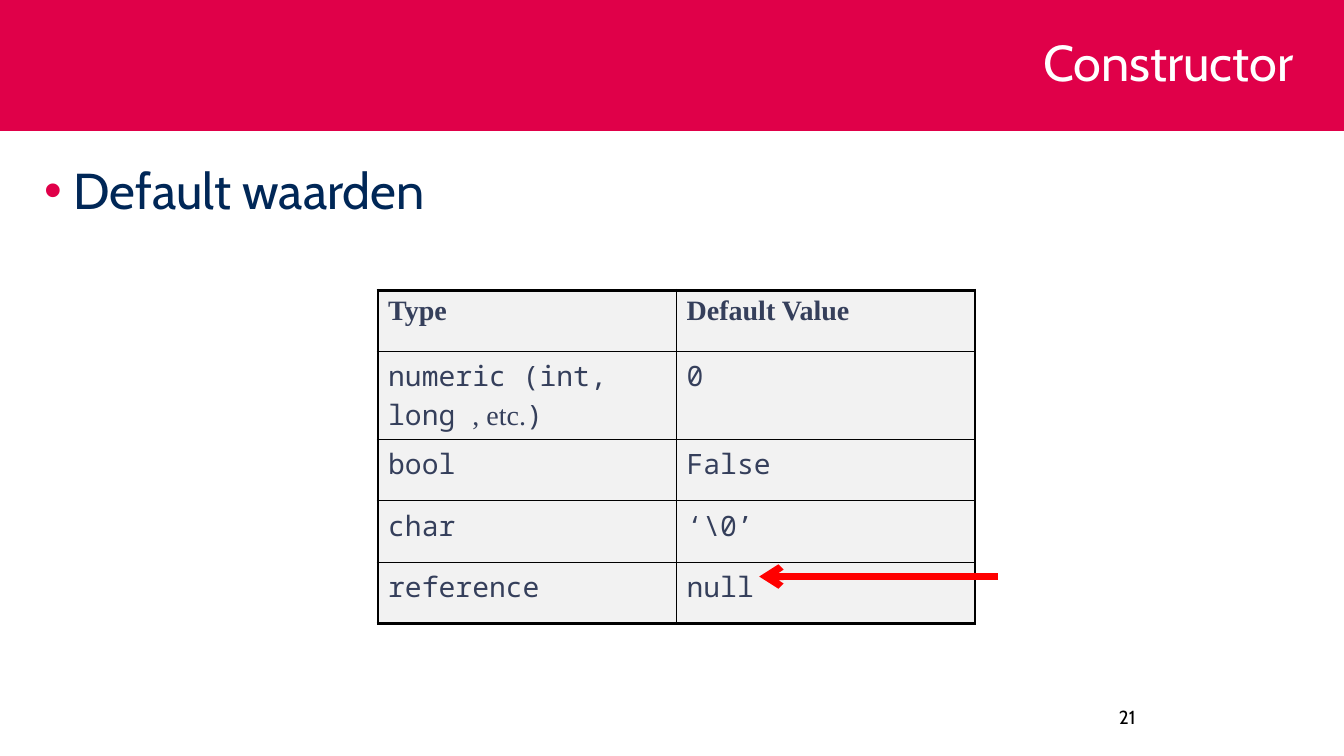
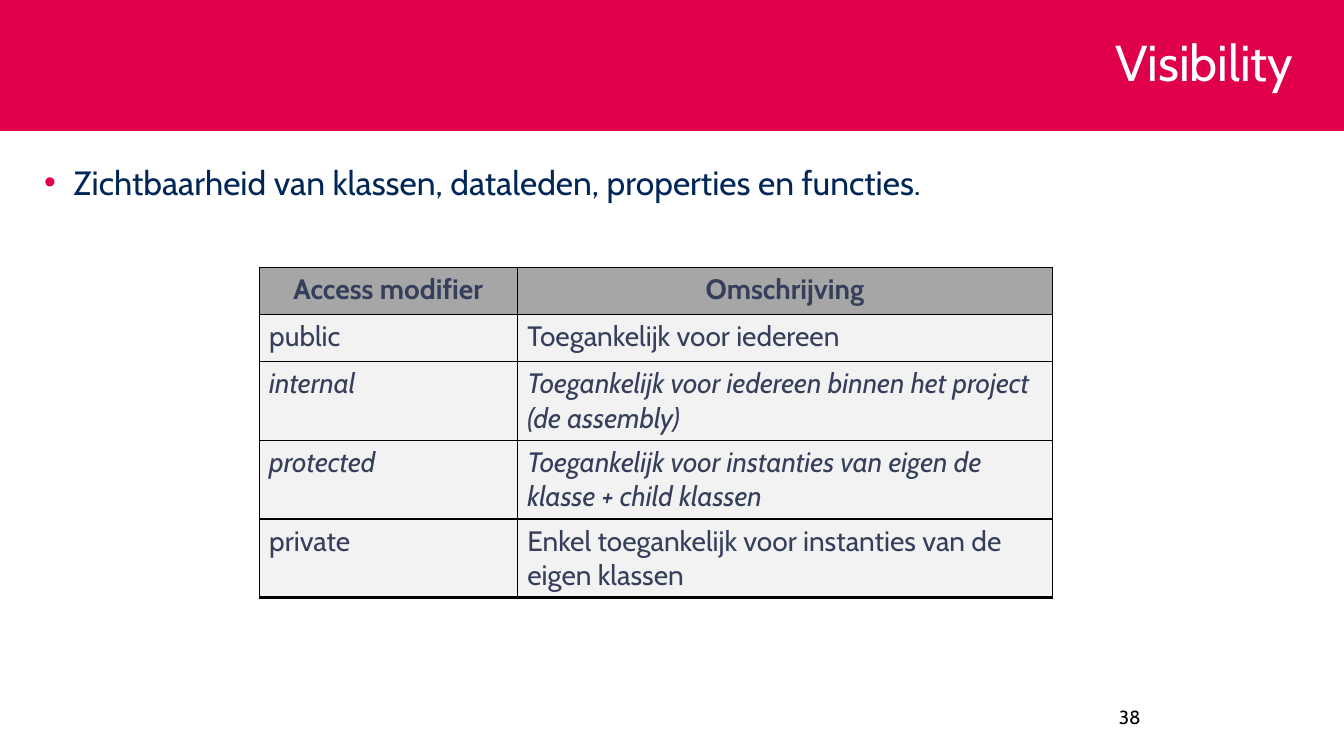
from lxml import etree
from pptx import Presentation
from pptx import util as u
from pptx.dml.color import RGBColor
from pptx.enum import shapes, text
from pptx.oxml.ns import qn

COLORS = {"band": "E00049", "title": "FFFFFF", "body": "002757", "number": "000000",
          "cell_text": "353F5B", "cell": "F2F2F2", "head": "A6A6A6", "border": "000000",
          "arrow": "FF0000"}
SANS, MONO, SERIF = "Cabin", "Noto Sans Mono", "Times New Roman"

SLIDES = [
    {"title": "Constructor", "bullet": "Default waarden", "size": 36, "number": "21",
     "table": {
         "at": (3.75, 2.88), "cols": (2.96, 2.96),
         "heights": (0.61, 0.87, 0.61, 0.61, 0.61),
         "head_font": SERIF, "font": MONO, "head_fill": "cell",
         "head_align": text.PP_ALIGN.LEFT, "italic": (),
         "edges": {"L": 2.25, "R": 2.25, "T": 2.25, "B": 2.25},
         "rows": [
             ("Type", "Default Value"),
             ([("numeric (int, long ", MONO), (", etc.", SERIF), (")", MONO)], "0"),
             ("bool", "False"),
             ("char", "‘\\0’"),
             ("reference", "null"),
         ]},
     "arrow": (9.9, 5.72, 7.53, 5.72)},
    {"title": "Visibility", "size": 24, "number": "38",
     "bullet": "Zichtbaarheid van klassen, dataleden, properties en functies.",
     "table": {
         "at": (2.57, 2.65), "cols": (2.56, 5.31),
         "heights": (0.47, 0.47, 0.78, 0.78, 0.78),
         "head_font": SANS, "font": SANS, "head_fill": "head",
         "head_align": text.PP_ALIGN.CENTER, "italic": (2, 3),
         "edges": {"L": 1, "R": 1, "T": 1, "B": 2.25},
         "rows": [
             ("Access modifier", "Omschrijving"),
             ("public", "Toegankelijk voor iedereen"),
             ("internal", "Toegankelijk voor iedereen binnen het project (de assembly)"),
             ("protected", "Toegankelijk voor instanties van eigen de klasse + child klassen"),
             ("private", "Enkel toegankelijk voor instanties van de eigen klassen"),
         ]}},
]


def rgb(name):
    return RGBColor.from_string(COLORS[name])


def inches(*values):
    return [u.Inches(v) for v in values]


def sub(parent, tag, **attrs):
    return etree.SubElement(parent, qn(tag), attrs)


def style(r, font, size, color, bold=False, italic=False):
    f = r.font
    f.name, f.size, f.bold, f.italic = font, u.Pt(size), bold, italic
    f.color.rgb = rgb(color)


def add_band(s, layout):
    sp = s.shapes.add_shape(shapes.MSO_SHAPE.RECTANGLE, *inches(0, 0, 13.33, 1.3))
    sp.shadow.inherit = False
    sp.fill.solid()
    sp.fill.fore_color.rgb = rgb("band")
    sp.line.fill.background()
    layout.shapes.element.insert(2, sp.element)


def set_title(s, title):
    sp = s.shapes.title
    sp.left, sp.top, sp.width, sp.height = inches(2.39, 0, 10.54, 1.3)
    tf = sp.text_frame
    tf.text = title
    tf.vertical_anchor = text.MSO_ANCHOR.MIDDLE
    p = tf.paragraphs[0]
    p.alignment, p.line_spacing = text.PP_ALIGN.RIGHT, 0.9
    style(p.runs[0], SANS, 36, "title")


def add_text(s, box, content, size, color):
    tf = s.shapes.add_textbox(*inches(*box)).text_frame
    tf.word_wrap = True
    tf.text = content
    p = tf.paragraphs[0]
    style(p.runs[0], SANS, size, color)
    return p


def add_bullet(s, content, size):
    p = add_text(s, (0.34, 1.6, 12.59, 5.58), content, size, "body")
    p.line_spacing = 0.9
    pPr = p._p.get_or_add_pPr()
    indent = u.Inches(0.29)
    pPr.set("marL", str(indent))
    pPr.set("indent", str(-indent))
    sub(sub(pPr, "a:buClr"), "a:srgbClr", val=COLORS["band"])
    sub(pPr, "a:buFont", typeface="Arial")
    sub(pPr, "a:buChar", char="•")


def set_borders(cell, widths):
    tcPr = cell._tc.get_or_add_tcPr()
    for i, side in enumerate("LRTB"):
        ln = etree.Element(qn("a:ln" + side), w=str(u.Pt(widths[side])))
        sub(sub(ln, "a:solidFill"), "a:srgbClr", val=COLORS["border"])
        tcPr.insert(i, ln)


def add_table(s, t):
    rows, cols, heights = t["rows"], t["cols"], t["heights"]
    last_row, last_col = len(rows) - 1, len(cols) - 1
    table = s.shapes.add_table(len(rows), len(cols),
                               *inches(*t["at"], sum(cols), sum(heights))).table
    table.first_row = table.horz_banding = False
    for column, width in zip(table.columns, cols):
        column.width = u.Inches(width)
    for i, row in enumerate(rows):
        table.rows[i].height = u.Inches(heights[i])
        head = i == 0
        for j, content in enumerate(row):
            cell = table.cell(i, j)
            cell.fill.solid()
            cell.fill.fore_color.rgb = rgb(t["head_fill"] if head else "cell")
            outer = {"L": j == 0, "R": j == last_col, "T": head, "B": i == last_row}
            set_borders(cell, {k: t["edges"][k] if outer[k] else 1 for k in outer})
            p = cell.text_frame.paragraphs[0]
            p.alignment = t["head_align"] if head else text.PP_ALIGN.LEFT
            if isinstance(content, str):
                content = [(content, t["head_font"] if head else t["font"])]
            for part, font in content:
                r = p.add_run()
                r.text = part
                style(r, font, 20, "cell_text", head, i in t["italic"])


def add_arrow(s, ends):
    c = s.shapes.add_connector(shapes.MSO_CONNECTOR.STRAIGHT, *inches(*ends))
    c.line.color.rgb = rgb("arrow")
    c.line.width = u.Pt(5)
    sub(c.line._get_or_add_ln(), "a:tailEnd", type="arrow")
    sub(c._element.spPr, "a:effectLst")


def main():
    prs = Presentation()
    prs.slide_width, prs.slide_height = inches(13.33, 7.5)
    layout = prs.slide_layouts[5]
    for n, data in enumerate(SLIDES):
        s = prs.slides.add_slide(layout)
        if n == 0:
            add_band(s, layout)
        set_title(s, data["title"])
        add_bullet(s, data["bullet"], data["size"])
        add_text(s, (11, 6.95, 2.33, 0.4), data["number"], 13.5, "number")
        add_table(s, data["table"])
        if "arrow" in data:
            add_arrow(s, data["arrow"])
    prs.save("out.pptx")


if __name__ == "__main__":
    main()
